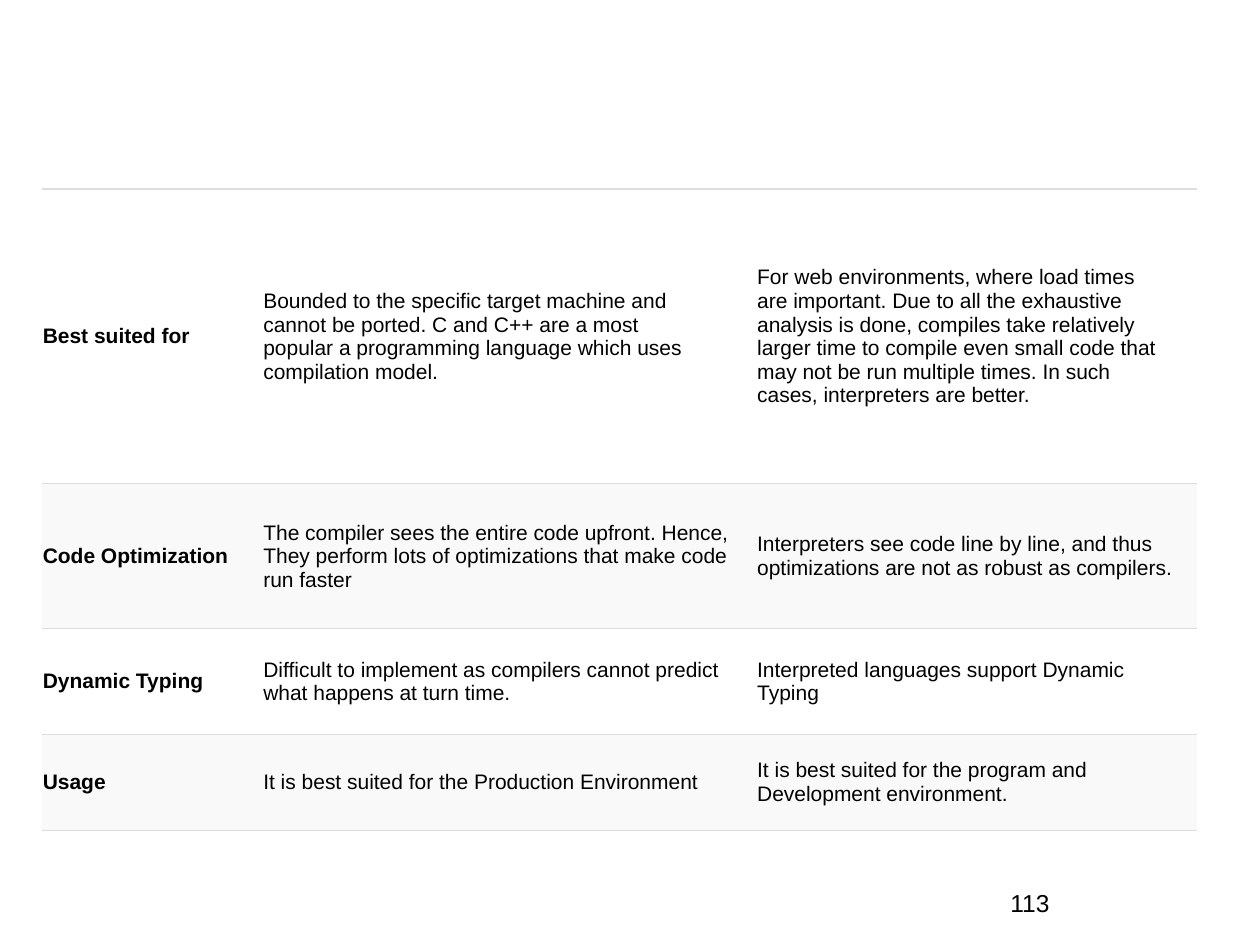
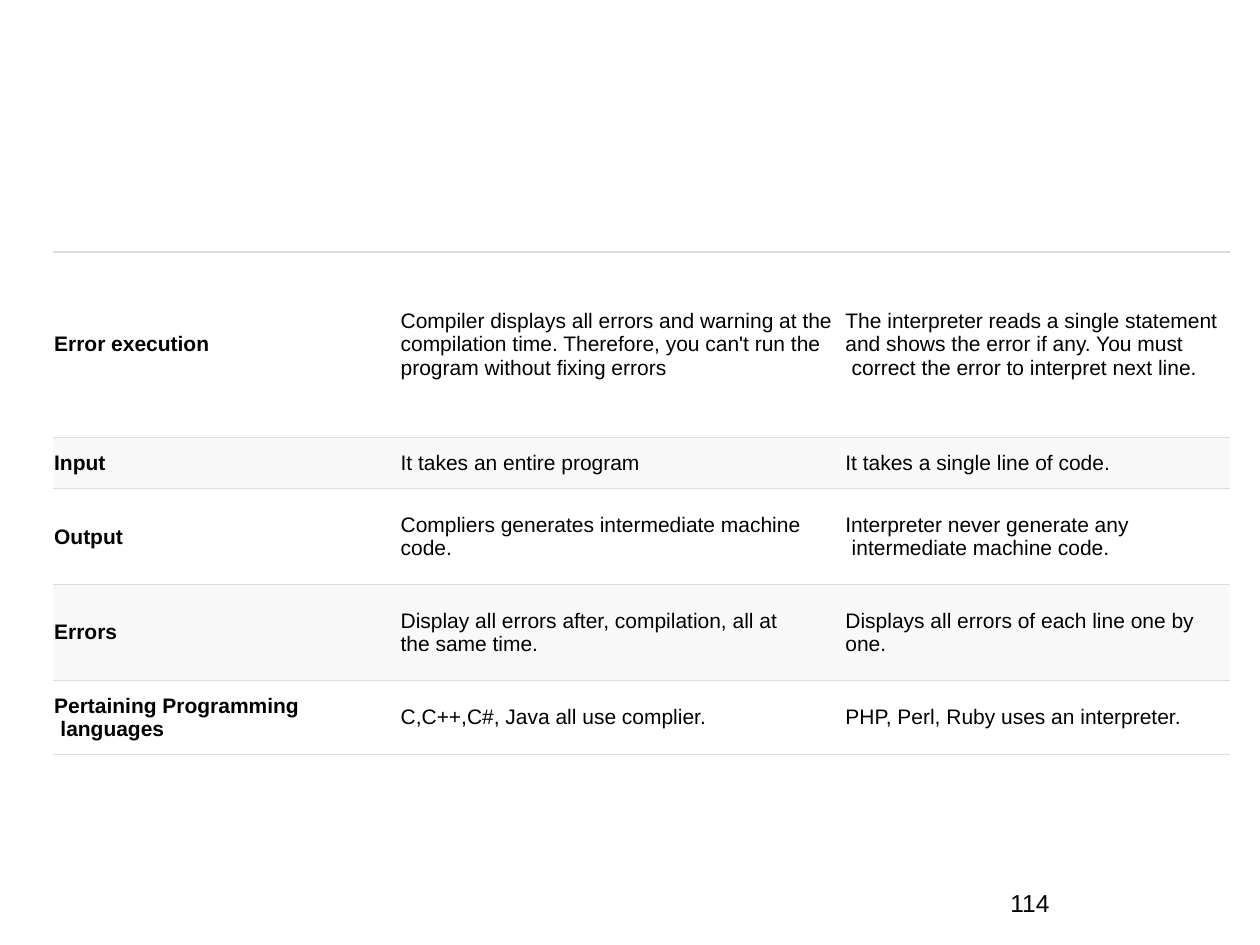
import lxml.etree
import pptx
import pptx.dml.color
import pptx.enum.text
import pptx.oxml.ns
import pptx.util

Inches = pptx.util.Inches
ALIGN = pptx.enum.text.PP_ALIGN
COLORS = {"text": "000000", "rule": "DDDDDD", "plain": "FFFFFF", "shaded": "F9F9F9"}
FONT = "Arial"
INDENT_MARK = "> "

SUITABILITY_ROWS = [
    (2.34, ["Best suited for"],
     ["Bounded to the specific target machine and",
      "cannot be ported. C and C++ are a most",
      "popular a programming language which uses",
      "compilation model."],
     ["For web environments, where load times",
      "are important. Due to all the exhaustive",
      "analysis is done, compiles take relatively",
      "larger time to compile even small code that",
      "may not be run multiple times. In such",
      "cases, interpreters are better."]),
    (1.15, ["Code Optimization"],
     ["The compiler sees the entire code upfront. Hence,",
      "They perform lots of optimizations that make code",
      "run faster"],
     ["Interpreters see code line by line, and thus",
      "optimizations are not as robust as compilers."]),
    (0.84, ["Dynamic Typing"],
     ["Difficult to implement as compilers cannot predict",
      "what happens at turn time."],
     ["Interpreted languages support Dynamic", "Typing"]),
    (0.76, ["Usage"],
     ["It is best suited for the Production Environment"],
     ["It is best suited for the program and", "Development environment."]),
]

EXECUTION_ROWS = [
    (1.47, ["Error execution"],
     ["Compiler displays all errors and warning at the compilation time. "
      "Therefore, you can't run the program without fixing errors"],
     ["The interpreter reads a single statement and shows the error if any. You must",
      "> correct the error to interpret next line."]),
    (0.41, ["Input"], ["It takes an entire program"], ["It takes a single line of code."]),
    (0.76, ["Output"],
     ["Compliers generates intermediate machine", "code."],
     ["Interpreter never generate any", "> intermediate machine code."]),
    (0.76, ["Errors"],
     ["Display all errors after, compilation, all at", "the same time."],
     ["Displays all errors of each line one by", "one."]),
    (0.59, ["Pertaining Programming", "> languages"],
     ["C,C++,C#, Java all use complier."],
     ["PHP, Perl, Ruby uses an interpreter."]),
]


def add_span(para, text, size, bold=False):
    """Add one formatted run to a paragraph."""
    span = para.add_run()
    span.text = text
    span.font.name = FONT
    span.font.size = pptx.util.Pt(size)
    span.font.bold = bold
    span.font.color.rgb = pptx.dml.color.RGBColor.from_string(COLORS["text"])


def set_borders(cell):
    """Rule a cell above and below and leave its sides open."""
    qn = pptx.oxml.ns.qn
    properties = cell._tc.get_or_add_tcPr()
    for side in ("lnL", "lnR", "lnT", "lnB"):
        line = lxml.etree.SubElement(properties, qn("a:" + side), w=str(pptx.util.Pt(0.75)))
        if side in ("lnL", "lnR"):
            lxml.etree.SubElement(line, qn("a:noFill"))
        else:
            fill = lxml.etree.SubElement(line, qn("a:solidFill"))
            lxml.etree.SubElement(fill, qn("a:srgbClr"), val=COLORS["rule"])


def fill_cell(cell, lines, shade, bold, align):
    """Write the lines of a cell and set its margins, borders and fill."""
    cell.margin_left = cell.margin_right = Inches(0.01)
    cell.margin_top = cell.margin_bottom = Inches(0.01)
    cell.vertical_anchor = pptx.enum.text.MSO_ANCHOR.MIDDLE
    set_borders(cell)
    cell.fill.solid()
    cell.fill.fore_color.rgb = pptx.dml.color.RGBColor.from_string(COLORS[shade])
    frame = cell.text_frame
    for index, line in enumerate(lines):
        para = frame.add_paragraph() if index else frame.paragraphs[0]
        para.alignment = align
        if line.startswith(INDENT_MARK):
            para._p.get_or_add_pPr().set("marL", str(Inches(0.05)))
        add_span(para, line.removeprefix(INDENT_MARK), 12, bold)


def add_comparison(page, box, widths, rows, last_align):
    """Place a table of topic, compiler and interpreter in the box."""
    frame = page.shapes.add_table(len(rows), len(widths), *map(Inches, box))
    table = frame.table
    table.first_row = table.horz_banding = False
    for column, width in zip(table.columns, widths):
        column.width = Inches(width)
    for row_index, (height, *cells) in enumerate(rows):
        table.rows[row_index].height = Inches(height)
        shade = "shaded" if row_index % 2 else "plain"
        for column_index, lines in enumerate(cells):
            align = last_align if column_index == 2 else ALIGN.LEFT
            fill_cell(table.cell(row_index, column_index), lines, shade,
                      column_index == 0, align)


def add_page_number(page, number):
    """Place the page number at the lower right."""
    box = page.shapes.add_textbox(*map(Inches, (7.92, 7, 2.08, 0.5)))
    box.text_frame.word_wrap = True
    add_span(box.text_frame.paragraphs[0], str(number), 14)


def add_comparison_page(deck, number, box, widths, rows, last_align=ALIGN.LEFT):
    """Add a page holding a comparison table and its number."""
    page = deck.slides.add_slide(deck.slide_layouts[6])
    add_page_number(page, number)
    add_comparison(page, box, widths, rows, last_align)


def main():
    """Build and save the deck."""
    deck = pptx.Presentation()
    deck.slide_width, deck.slide_height = Inches(10), Inches(7.5)
    add_comparison_page(deck, 113, (0.33, 1.5, 9.17, 5.08), (1.75, 3.92, 3.5),
                        SUITABILITY_ROWS, ALIGN.JUSTIFY)
    add_comparison_page(deck, 114, (0.42, 2, 9.33, 4), (2.75, 3.53, 3.06), EXECUTION_ROWS)
    deck.save("out.pptx")


if __name__ == "__main__":
    main()
